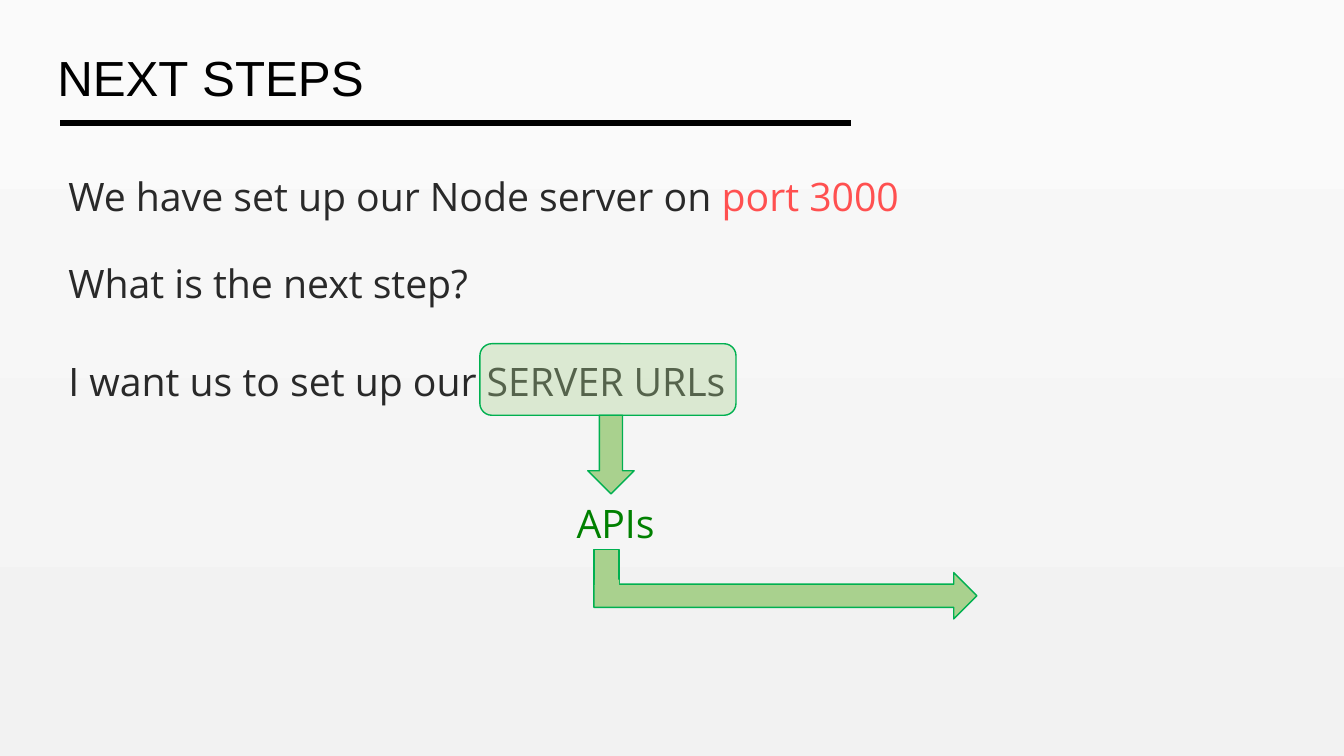
from typing import NamedTuple, Optional

from lxml import etree
from pptx import Presentation
from pptx.dml.color import RGBColor
from pptx.enum.shapes import MSO_CONNECTOR, MSO_SHAPE
from pptx.oxml.ns import qn
from pptx.util import Inches, Pt

ROUNDED = MSO_SHAPE.ROUNDED_RECTANGLE
RECT = MSO_SHAPE.RECTANGLE
DOWN_ARROW = MSO_SHAPE.DOWN_ARROW
STRAIGHT = MSO_CONNECTOR.STRAIGHT

INK, RED, DARK_GREEN = "292929", "FF5050", "008000"
LIGHT_GREEN, GREEN, BLACK = "A9D18E", "00B050", "000000"


class Line(NamedTuple):
    left: float
    top: float
    width: float
    runs: list[tuple[str, str]]  # text, colour


class Block(NamedTuple):
    kind: int
    left: float
    top: float
    width: float
    height: float
    rotation: int = 0
    opacity: int = 100
    outline: Optional[str] = GREEN


def rgb(value: str) -> RGBColor:
    return RGBColor.from_string(value)


def add_text(s, left: float, top: float, width: float, height: float,
             runs: list[tuple[str, str]], *, font: str = "Open Sans",
             size: float = 28, inset_top: float = 0.05,
             small_caps: bool = False) -> None:
    box = s.shapes.add_textbox(Inches(left), Inches(top), Inches(width), Inches(height))
    tf = box.text_frame
    tf.word_wrap = True
    tf.margin_top = Inches(inset_top)
    p = tf.paragraphs[0]
    for text, color in runs:
        r = p.add_run()
        r.text = text
        r.font.name = font
        r.font.size = Pt(size)
        r.font.color.rgb = rgb(color)
        if small_caps:
            r._r.get_or_add_rPr().set("cap", "small")


def add_block(s, block: Block) -> None:
    sp = s.shapes.add_shape(block.kind, Inches(block.left), Inches(block.top),
                            Inches(block.width), Inches(block.height))
    sp.shadow.inherit = False
    sp.rotation = block.rotation
    sp.fill.solid()
    sp.fill.fore_color.rgb = rgb(LIGHT_GREEN)
    if block.opacity < 100:
        color = sp._element.spPr.find(qn("a:solidFill"))[0]
        etree.SubElement(color, qn("a:alpha")).set("val", str(block.opacity * 1000))
    if block.outline:
        sp.line.color.rgb = rgb(block.outline)
        sp.line.width = Pt(1)
    else:
        sp.line.fill.background()


def add_rule(s, left: float, right: float, y: float) -> None:
    rule = s.shapes.add_connector(STRAIGHT, Inches(left), Inches(y), Inches(right), Inches(y))
    rule.line.color.rgb = rgb(BLACK)
    rule.line.width = Pt(4.5)
    etree.SubElement(rule._element.spPr, qn("a:effectLst"))


prs = Presentation()
prs.slide_width, prs.slide_height = Inches(13.33), Inches(7.5)
s = prs.slides.add_slide(prs.slide_layouts[6])

# Background, shaded from top to bottom
bg = s.background.fill
bg.gradient()
bg.gradient_angle = 270
for stop, shade in zip(bg.gradient_stops, ("FAFAFA", "F2F2F2")):
    stop.color.rgb = rgb(shade)

# Title and rule
add_text(s, 0.47, 0.24, 7.8, 0.76, [("next steps", BLACK)],
         font="Arial", size=44, inset_top=0.11, small_caps=True)
add_rule(s, 0.6, 8.44, 1.22)

# Body lines
LINES = [
    Line(0.58, 1.66, 11.99, [("We have set up our Node server on ", INK), ("port 3000", RED)]),
    Line(0.58, 2.52, 7.79, [("What is the next step?", INK)]),
    Line(0.58, 3.5, 11.99, [("I want us to set up our SERVER URLs", INK)]),
    Line(5.62, 4.9, 1.12, [("APIs", DARK_GREEN)]),
]
for line in LINES:
    add_text(s, line.left, line.top, line.width, 0.57, line.runs)

# Highlight, arrow to the APIs, and the elbow arrow leading on
BLOCKS = [
    Block(ROUNDED, 4.76, 3.41, 2.54, 0.71, opacity=35),
    Block(DOWN_ARROW, 5.83, 4.12, 0.46, 0.78),
    Block(RECT, 5.73, 5.61, 0.57, 0.25, rotation=90),
    Block(DOWN_ARROW, 7.56, 4.01, 0.46, 3.8, rotation=270),
    Block(RECT, 5.99, 5.66, 0.06, 0.24, rotation=90, outline=None),  # covers the seam
]
for block in BLOCKS:
    add_block(s, block)

prs.save("out.pptx")
